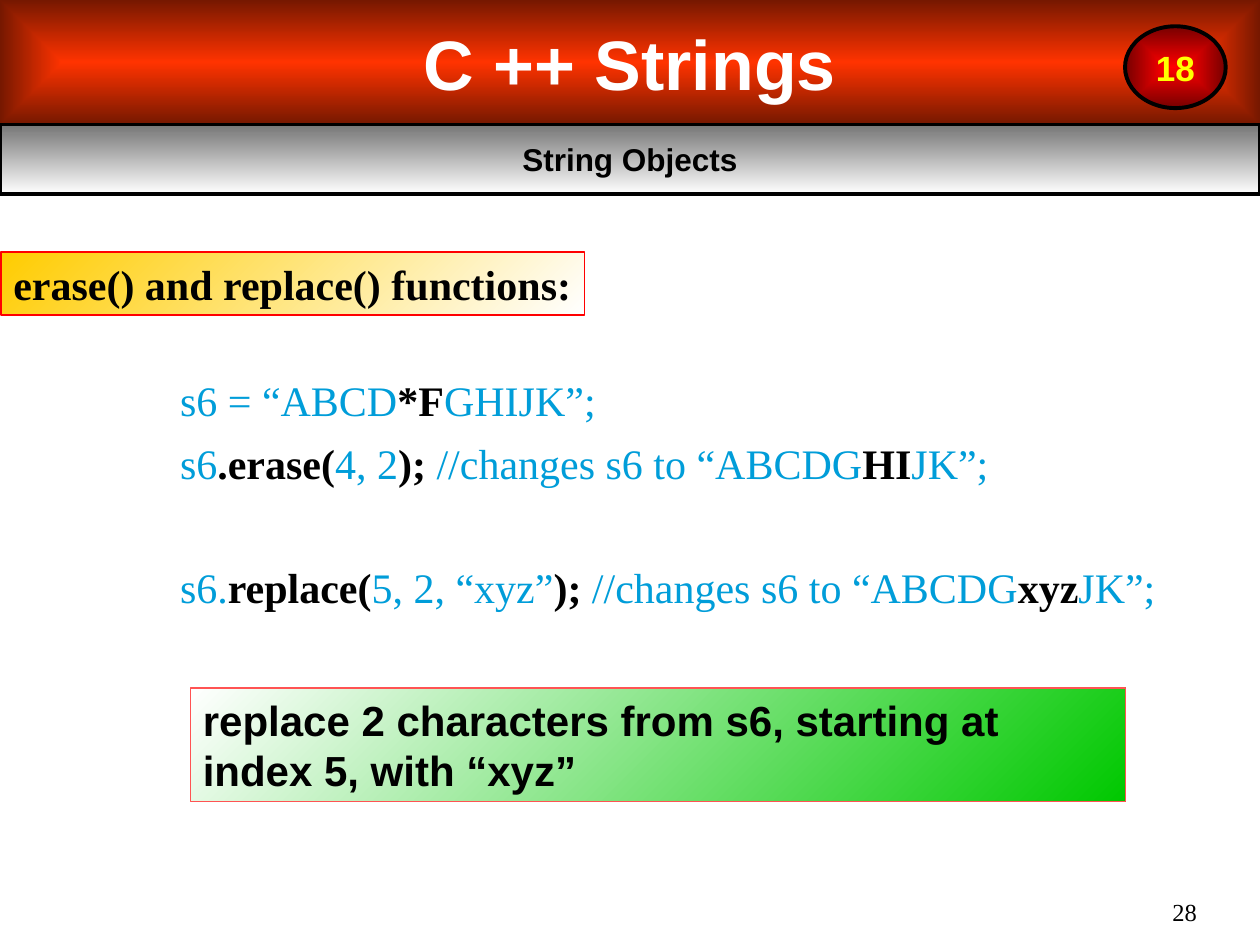
"""Build the slide on erasing and replacing parts of C++ string objects."""
from lxml import etree
from pptx import Presentation
from pptx.dml.color import RGBColor
from pptx.enum.shapes import MSO_SHAPE
from pptx.enum.text import MSO_ANCHOR, PP_ALIGN
from pptx.oxml.ns import qn
from pptx.util import Cm, Pt

RECTANGLE, OVAL = MSO_SHAPE.RECTANGLE, MSO_SHAPE.OVAL
TOP, MIDDLE, BOTTOM = MSO_ANCHOR.TOP, MSO_ANCHOR.MIDDLE, MSO_ANCHOR.BOTTOM
LEFT, CENTER, RIGHT = PP_ALIGN.LEFT, PP_ALIGN.CENTER, PP_ALIGN.RIGHT

BLACK = RGBColor(0x00, 0x00, 0x00)
WHITE = RGBColor(0xFF, 0xFF, 0xFF)
GRAY = RGBColor(0x76, 0x76, 0x76)
ORANGE_RED = RGBColor(0xFF, 0x33, 0x00)
BROWN = RGBColor(0x76, 0x18, 0x00)
RED = RGBColor(0xFF, 0x00, 0x00)
DARK_RED = RGBColor(0x76, 0x00, 0x00)
LIGHT_RED = RGBColor(0xFF, 0x53, 0x53)
YELLOW = RGBColor(0xFF, 0xFF, 0x00)
GOLD = RGBColor(0xFF, 0xCC, 0x00)
GREEN = RGBColor(0x00, 0xC8, 0x00)
BLUE = RGBColor(0x00, 0x9D, 0xD9)
SANS, SERIF = "Arial", "Times New Roman"

CODE_LINES = [
    (0, [("s6 = “ABCD", False), ("*F", True), ("GHIJK”;", False)]),
    (7.2, [("s6", False), (".erase(", True), ("4, 2", False), (");", True),
           (" //changes s6 to “ABCDG", False), ("HI", True), ("JK”;", False)]),
    (42, [("s6.", False), ("replace(", True), ("5, 2, “xyz”", False), (");", True),
          (" //changes s6 to “ABCDG", False), ("xyz", True), ("JK”;", False)]),
]


def add_run(para, text, font, size, color, bold):
    """Append one formatted run to a paragraph."""
    span = para.add_run()
    span.text = text
    span.font.name = font
    span.font.size = Pt(size)
    span.font.color.rgb = color
    span.font.bold = bold


def fill_gradient(shape, first, last, angle=None):
    """Fill with a clockwise linear gradient, or from the centre if no angle is given."""
    shape.fill.gradient()
    for stop, color in zip(shape.fill.gradient_stops, (first, last)):
        stop.color.rgb = color
    if angle is not None:
        shape.fill.gradient_angle = 360 - angle
        return
    gradient = shape.element.spPr.find(qn("a:gradFill"))
    gradient.remove(gradient.find(qn("a:lin")))
    radial = etree.SubElement(gradient, qn("a:path"), path="rect")
    etree.SubElement(radial, qn("a:fillToRect"), dict.fromkeys("ltrb", "50000"))


def add_panel(page, kind, bounds, colors, angle, line, text, style, align=CENTER,
              anchor=MIDDLE, wrap=True):
    """Add a gradient shape holding one bold text."""
    shape = page.shapes.add_shape(kind, *map(Cm, bounds))
    shape.shadow.inherit = False
    fill_gradient(shape, *colors, angle)
    if line:
        shape.line.color.rgb, shape.line.width = line[0], Pt(line[1])
    else:
        shape.line.fill.background()
    frame = shape.text_frame
    frame.word_wrap = wrap
    frame.vertical_anchor = anchor
    para = frame.paragraphs[0]
    para.alignment = align
    add_run(para, text, *style, True)


def add_code(page, bounds):
    """Add the code lines with the key parts in bold black."""
    frame = page.shapes.add_textbox(*map(Cm, bounds)).text_frame
    frame.word_wrap = True
    for index, (gap, parts) in enumerate(CODE_LINES):
        para = frame.add_paragraph() if index else frame.paragraphs[0]
        para._p.get_or_add_pPr().set("marL", str(Cm(2.54)))
        para.space_before = Pt(gap)
        for text, key in parts:
            add_run(para, text, SERIF, 24, BLACK if key else BLUE, key)


def add_page_number(page, bounds, text):
    """Add the page number at the lower right."""
    frame = page.shapes.add_textbox(*map(Cm, bounds)).text_frame
    frame.word_wrap = True
    frame.vertical_anchor = BOTTOM
    frame.margin_left = frame.margin_right = frame.margin_top = frame.margin_bottom = 0
    para = frame.paragraphs[0]
    para.alignment = RIGHT
    add_run(para, text, SERIF, 14, BLACK, False)


def main():
    """Build and save the deck."""
    deck = Presentation()
    deck.slide_width, deck.slide_height = Cm(25.4), Cm(19.05)
    page = deck.slides.add_slide(deck.slide_layouts[6])
    add_page_number(page, (22.02, 17.65, 2.11, 1.02), "28")
    add_panel(page, RECTANGLE, (0, 0, 25.4, 2.51), (ORANGE_RED, BROWN), None, None,
              "C ++ Strings", (SANS, 40, WHITE))
    add_panel(page, RECTANGLE, (0, 2.51, 25.4, 1.4), (GRAY, WHITE), 90, (BLACK, 2.25),
              "String Objects", (SANS, 18, BLACK))
    add_panel(page, OVAL, (22.68, 0.53, 2.03, 1.65), (RED, DARK_RED), None, (BLACK, 2.25),
              "18", (SANS, 20, YELLOW), wrap=False)
    add_code(page, (0.84, 7.42, 23.5, 4.95))
    add_panel(page, RECTANGLE, (0.02, 5.08, 11.76, 1.27), (GOLD, WHITE), 45, (RED, 0.75),
              "erase() and replace() functions:", (SERIF, 24, BLACK), LEFT, TOP, False)
    add_panel(page, RECTANGLE, (3.84, 13.87, 18.85, 2.29), (WHITE, GREEN), 45,
              (LIGHT_RED, 0.75),
              "replace 2 characters from s6, starting at index 5, with “xyz”",
              (SANS, 24, BLACK), LEFT, TOP)
    deck.save("out.pptx")


if __name__ == "__main__":
    main()
